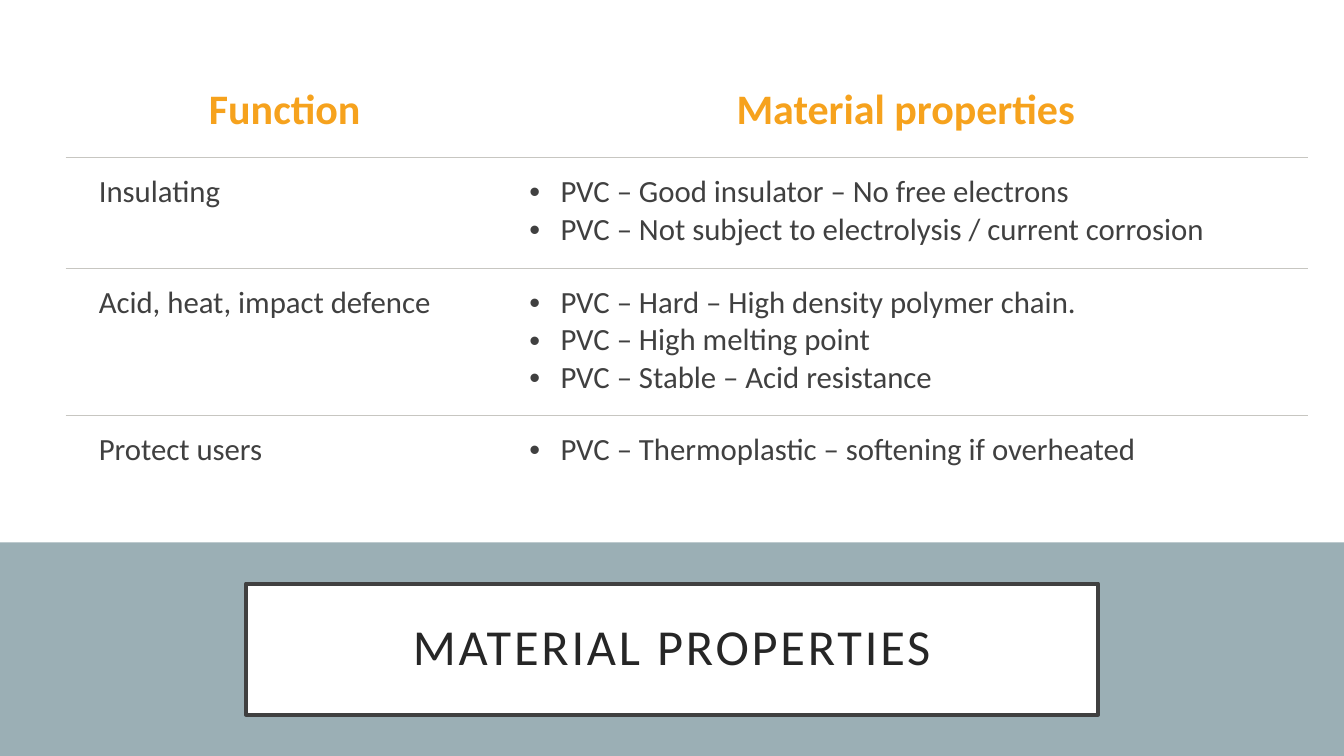
from lxml.etree import SubElement
from pptx import Presentation
from pptx.dml.color import RGBColor
from pptx.enum.shapes import MSO_SHAPE
from pptx.enum.text import MSO_ANCHOR, PP_ALIGN
from pptx.oxml.ns import qn
from pptx.util import Inches, Pt

TITLE = "MATERIAL PROPERTIES"
HEADERS = ("Function", "Material properties")
FUNCTIONS = [
    ("Insulating", ["PVC – Good insulator – No free electrons",
                    "PVC – Not subject to electrolysis / current corrosion"]),
    ("Acid, heat, impact defence", ["PVC – Hard – High density polymer chain.",
                                    "PVC – High melting point",
                                    "PVC – Stable – Acid resistance"]),
    ("Protect users", ["PVC – Thermoplastic – softening if overheated"]),
]
COLUMN_WIDTHS = (4.27, 8.05)
ROW_HEIGHTS = (0.88, 1.1, 1.46, 0.75)
WHITE, BAND, ORANGE = "FFFFFF", "9BAFB5", "F6A21D"
DARK, TITLE_COLOR, RULE = "404040", "262626", "C7C6C1"


def color(value):
    return RGBColor.from_string(value)


def set_margins(target, left, top, right, bottom):
    target.margin_left, target.margin_top = Inches(left), Inches(top)
    target.margin_right, target.margin_bottom = Inches(right), Inches(bottom)


def write(paragraph, text, size, ink, bold=False, align=PP_ALIGN.LEFT,
          bullet=False, spacing=None):
    if bullet:
        properties = paragraph._p.get_or_add_pPr()
        properties.set("marL", str(Inches(0.31)))
        properties.set("indent", str(-Inches(0.31)))
        SubElement(properties, qn("a:buFont"), typeface="Arial")
        SubElement(properties, qn("a:buChar"), char="•")
    paragraph.alignment = align
    run = paragraph.add_run()
    run.text = text
    run.font.name = "Calibri"
    run.font.size = Pt(size)
    run.font.bold = bold
    run.font.color.rgb = color(ink)
    if spacing:
        run._r.get_or_add_rPr().set("spc", str(spacing * 100))


def add_rectangle(slide, left, top, width, height, fill, line=None):
    shape = slide.shapes.add_shape(MSO_SHAPE.RECTANGLE, Inches(left), Inches(top),
                                   Inches(width), Inches(height))
    shape.shadow.inherit = False
    shape.fill.solid()
    shape.fill.fore_color.rgb = color(fill)
    if line:
        shape.line.color.rgb = color(line)
        shape.line.width = Pt(3)
    else:
        shape.line.fill.background()
    return shape


def set_borders(cell, ruled):
    """Draw the sides in ruled and switch the other sides off."""
    properties = cell._tc.get_or_add_tcPr()
    for side in ("L", "R", "T", "B"):
        border = SubElement(properties, qn(f"a:ln{side}"), w=str(Pt(0.75)))
        if side in ruled:
            fill = SubElement(border, qn("a:solidFill"))
            SubElement(fill, qn("a:srgbClr"), val=RULE)
        else:
            SubElement(border, qn("a:noFill"))


def fill_cell(cell, lines, ruled, **text_format):
    set_borders(cell, ruled)
    cell.fill.background()
    set_margins(cell, 0.33, 0.16, 0.25, 0.16)
    frame = cell.text_frame
    for index, line in enumerate(lines):
        paragraph = frame.add_paragraph() if index else frame.paragraphs[0]
        write(paragraph, line, **text_format)


def add_properties_table(slide):
    frame = slide.shapes.add_table(len(ROW_HEIGHTS), len(COLUMN_WIDTHS), Inches(0.65),
                                   Inches(0.68), Inches(sum(COLUMN_WIDTHS)),
                                   Inches(sum(ROW_HEIGHTS)))
    table = frame.table
    table.first_row = table.horz_banding = False
    for column, width in zip(table.columns, COLUMN_WIDTHS):
        column.width = Inches(width)
    for row, height in zip(table.rows, ROW_HEIGHTS):
        row.height = Inches(height)
    for index, header in enumerate(HEADERS):
        fill_cell(table.cell(0, index), [header], "B", size=30, ink=ORANGE,
                  bold=True, align=PP_ALIGN.CENTER)
    for row, (function, materials) in enumerate(FUNCTIONS, start=1):
        ruled = "T" if row == len(FUNCTIONS) else "TB"
        fill_cell(table.cell(row, 0), [function], ruled, size=22, ink=DARK)
        fill_cell(table.cell(row, 1), materials, ruled, size=22, ink=DARK, bullet=True)


def add_title(slide):
    box = add_rectangle(slide, 2.44, 5.79, 8.45, 1.3, WHITE, line=DARK)
    frame = box.text_frame
    frame.word_wrap = True
    frame.vertical_anchor = MSO_ANCHOR.MIDDLE
    set_margins(frame, 0.3, 0.2, 0.3, 0.2)
    paragraph = frame.paragraphs[0]
    paragraph.line_spacing = 0.9
    paragraph.space_after = Pt(6)
    write(paragraph, TITLE, size=36, ink=TITLE_COLOR, align=PP_ALIGN.CENTER, spacing=2)


def main():
    presentation = Presentation()
    presentation.slide_width, presentation.slide_height = Inches(13.33), Inches(7.5)
    slide = presentation.slides.add_slide(presentation.slide_layouts[6])
    add_rectangle(slide, 0, 5.38, 13.33, 2.12, BAND)
    add_properties_table(slide)
    add_title(slide)
    presentation.save("out.pptx")


if __name__ == "__main__":
    main()
